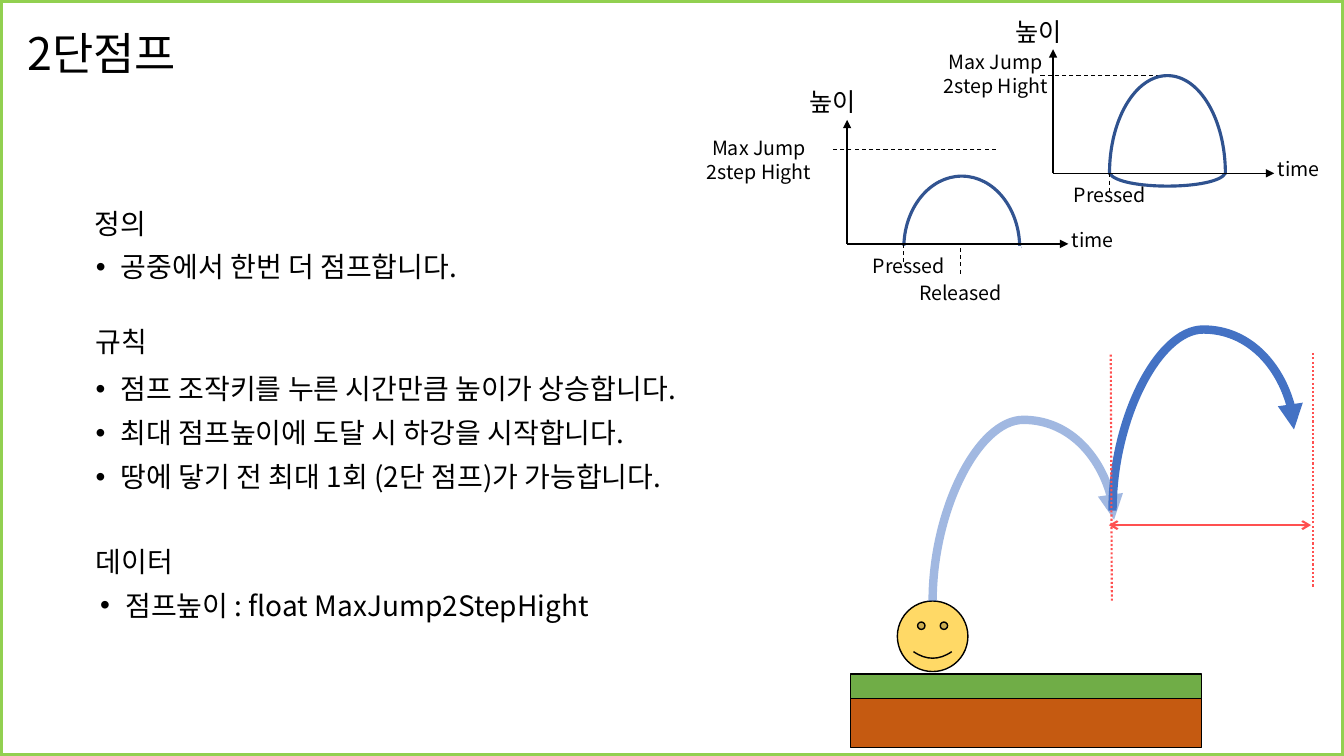
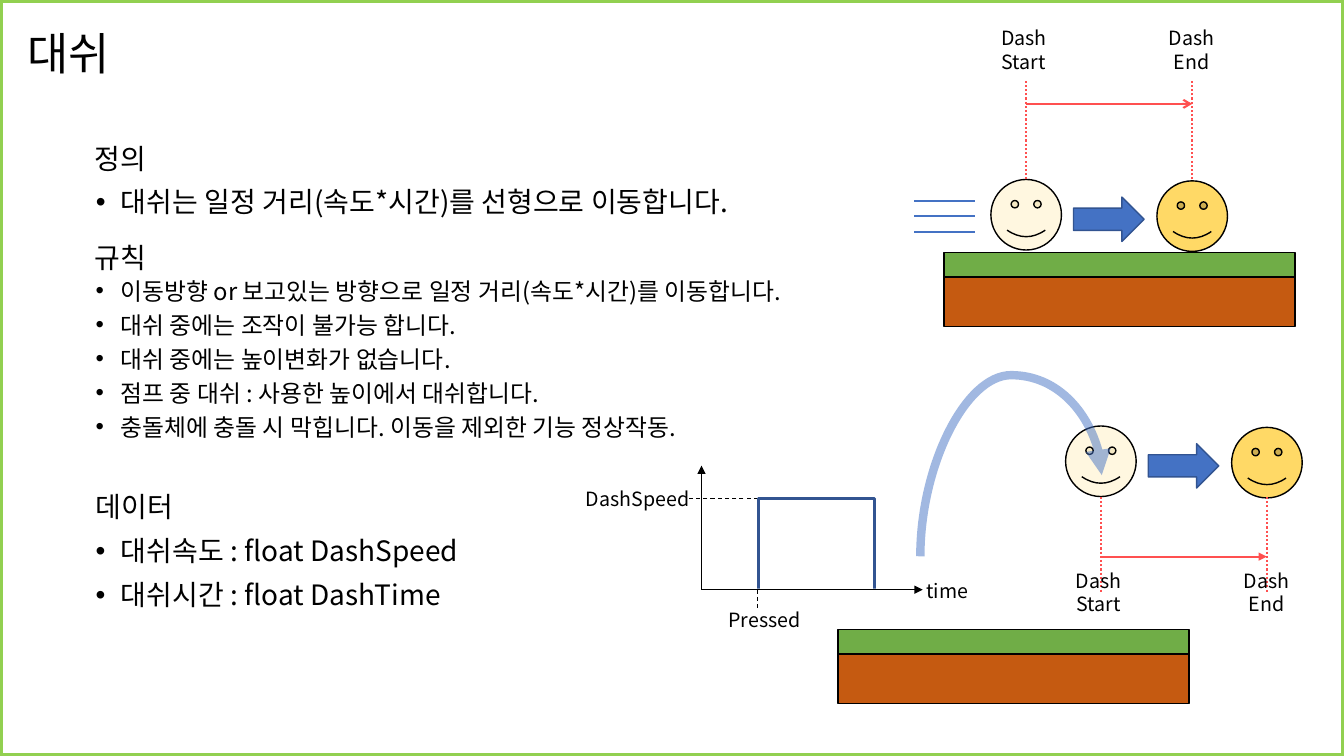
"""Build two game-design slides describing the double jump and the dash."""
from dataclasses import dataclass, replace
from typing import Any, NamedTuple, Optional

import lxml.etree
import pptx
import pptx.dml.color
import pptx.enum.dml
import pptx.enum.shapes
import pptx.enum.text
import pptx.oxml.ns
import pptx.util

Pt = pptx.util.Pt
qn = pptx.oxml.ns.qn
Shape = pptx.enum.shapes.MSO_SHAPE
Connector = pptx.enum.shapes.MSO_CONNECTOR
Dash = pptx.enum.dml.MSO_LINE
Align = pptx.enum.text.PP_ALIGN
Anchor = pptx.enum.text.MSO_ANCHOR

FONT = "Noto Sans CJK KR"
BLACK, WHITE, RED = "000000", "FFFFFF", "FF5050"
BLUE, NAVY, YELLOW = "4472C4", "325491", "FFD966"
GREEN, BROWN, LIME = "70AD47", "C55A11", "92D050"
FACE = 50.4


class Box(NamedTuple):
    """Left, top, width and height in points."""
    left: float
    top: float
    width: float
    height: float


class Label(NamedTuple):
    """Centred diagram text and its place."""
    text: str
    box: Box


@dataclass(frozen=True)
class Stroke:
    """Look of a line and its ends."""
    colour: str
    width: float
    dash: Optional[Any] = None
    opacity: int = 100
    head: str = ""
    tail: str = ""


@dataclass(frozen=True)
class Section:
    """Heading with a bulleted list below it."""
    heading: str
    heading_box: Box
    items: tuple[str, ...]
    list_box: Box
    size: float = 20
    spacing: float = 0.9


OUTLINE = Stroke(BLACK, 1)
AXIS = Stroke(BLACK, 1, tail="triangle")
GUIDE = Stroke(BLACK, 0.75, Dash.DASH)
DOTTED = Stroke(RED, 1.5, Dash.ROUND_DOT)
MEASURE = Stroke(RED, 1.5, tail="arrow")
JUMP = Stroke(BLUE, 6, tail="triangle")
FADED_JUMP = replace(JUMP, opacity=50)


def paint(colour_format: Any, colour: str, opacity: int = 100) -> None:
    """Make a fill solid with a hex colour and an opacity in percent."""
    colour_format.solid()
    colour_format.fore_color.rgb = pptx.dml.color.RGBColor.from_string(colour)
    if opacity < 100:
        element = colour_format.fore_color._xFill.find(qn("a:srgbClr"))
        lxml.etree.SubElement(element, qn("a:alpha"), val=str(opacity * 1000))


def draw_stroke(line: Any, stroke: Stroke) -> None:
    """Apply a stroke to a line format."""
    paint(line.fill, stroke.colour, stroke.opacity)
    line.width = Pt(stroke.width)
    if stroke.dash is not None:
        line.dash_style = stroke.dash
    for tag, kind in (("a:headEnd", stroke.head), ("a:tailEnd", stroke.tail)):
        if kind:
            lxml.etree.SubElement(line._get_or_add_ln(), qn(tag), type=kind)


def write(frame: Any, text: str, *, size: float, align: Any = Align.LEFT,
          spacing: float = 1.0, before: float = 0, bullet: bool = False,
          anchor: Any = Anchor.TOP) -> None:
    """Fill a text frame, one paragraph for each line of the text."""
    frame.word_wrap = True
    frame.auto_size = pptx.enum.text.MSO_AUTO_SIZE.NONE
    frame.vertical_anchor = anchor
    for index, words in enumerate(text.split("\n")):
        para = frame.add_paragraph() if index else frame.paragraphs[0]
        para.alignment = align
        para.line_spacing = spacing
        para.space_before = Pt(before)
        span = para.add_run()
        span.text = words
        span.font.size = Pt(size)
        paint(span.font.fill, BLACK)
        span.font.name = FONT
        lxml.etree.SubElement(span._r.rPr, qn("a:ea"), typeface=FONT)
        if bullet:
            properties = para._p.get_or_add_pPr()
            properties.set("marL", str(Pt(18)))
            properties.set("indent", str(Pt(-18)))
            lxml.etree.SubElement(properties, qn("a:buFont"), typeface="Arial")
            lxml.etree.SubElement(properties, qn("a:buChar"), char="•")


def place(shape: Any, box: Box) -> None:
    """Move and size a shape."""
    shape.left, shape.top, shape.width, shape.height = map(Pt, box)


def add_text(page: Any, text: str, box: Box, **style: Any) -> None:
    """Add a text box."""
    write(page.shapes.add_textbox(*map(Pt, box)).text_frame, text, **style)


def add_labels(page: Any, *labels: Label) -> None:
    """Add the centred labels of a diagram."""
    for label in labels:
        add_text(page, label.text, label.box, size=14, align=Align.CENTER)


def add_shape(page: Any, kind: Any, box: Box, fill: str = "",
              stroke: Optional[Stroke] = None, opacity: int = 100) -> None:
    """Add a preset shape; without fill or stroke that part stays clear."""
    shape = page.shapes.add_shape(kind, *map(Pt, box))
    shape.shadow.inherit = False
    if fill:
        paint(shape.fill, fill, opacity)
    else:
        shape.fill.background()
    if stroke:
        draw_stroke(shape.line, stroke)
    else:
        shape.line.fill.background()


def add_line(page: Any, x1: float, y1: float, x2: float, y2: float,
             stroke: Stroke, kind: Any = Connector.STRAIGHT) -> Any:
    """Add a connector without shadow."""
    connector = page.shapes.add_connector(kind, Pt(x1), Pt(y1), Pt(x2), Pt(y2))
    draw_stroke(connector.line, stroke)
    lxml.etree.SubElement(connector._element.spPr, qn("a:effectLst"))
    return connector


def add_jump(page: Any, left: float, bottom: float, stroke: Stroke) -> None:
    """Add a jump arc that starts at the given point and lands to its right."""
    rise, run = 58, 129.6
    x, y = left + (run - rise) / 2, bottom - (run + rise) / 2
    arc = add_line(page, x + rise, y + run, x, y, stroke, Connector.CURVE)
    properties = arc._element.spPr
    properties.find(qn("a:xfrm")).set("rot", "5400000")
    guides = properties.find(qn("a:prstGeom")).find(qn("a:avLst"))
    lxml.etree.SubElement(guides, qn("a:gd"), name="adj1", fmla="val 223100")


def add_dome(page: Any, left: float, apex: float, base: float, sag: float,
             colour: str) -> None:
    """Add the closed height curve of a jump, as three Bézier curves."""
    right, middle = left + 82.8, left + 41.4
    shoulder, low = base - (base - apex) * 0.55, base + sag
    builder = page.shapes.build_freeform(Pt(left), Pt(base))
    builder.add_line_segments([(Pt(middle), Pt(apex)), (Pt(right), Pt(base)),
                               (Pt(middle), Pt(base + sag * 0.75))], close=True)
    dome = builder.convert_to_shape()
    dome.shadow.inherit = False
    dome.fill.background()
    draw_stroke(dome.line, Stroke(colour, 2.25))
    outline = next(dome._element.iter(qn("a:path")))
    for segment in list(outline):
        outline.remove(segment)
    segments = (
        ("a:moveTo", ((left, base),)),
        ("a:cubicBezTo", ((left, shoulder), (middle - 23, apex), (middle, apex))),
        ("a:cubicBezTo", ((middle + 23, apex), (right, shoulder), (right, base))),
        ("a:cubicBezTo", ((right - 7, low), (left + 7, low), (left, base))),
        ("a:close", ()))
    for tag, points in segments:
        segment = lxml.etree.SubElement(outline, qn(tag))
        for x, y in points:
            lxml.etree.SubElement(segment, qn("a:pt"), x=str(Pt(x - left)),
                                  y=str(Pt(y - apex)))


def add_axes(page: Any, x: float, y: float, time_rise: float = 15.1) -> None:
    """Add the two axes of a chart sketch, its time label and press mark."""
    add_line(page, x, y, x + 158, y, AXIS)
    add_line(page, x, y, x, y - 88.6, AXIS)
    add_line(page, x + 40.3, y, x + 40.3, y + 13.7, GUIDE)
    add_labels(page, Label("time", Box(x + 126.9, y - time_rise, 97.2, 24.5)))


def add_height_title(page: Any, x: float, y: float) -> None:
    """Add the height title above the axes with this origin."""
    add_text(page, "높이", Box(x - 33.8, y - 115.9, 91.4, 28.8), size=18)


def add_ground(page: Any, left: float, top: float) -> None:
    """Add grass on soil."""
    add_shape(page, Shape.RECTANGLE, Box(left, top, 250.6, 17.5), GREEN, OUTLINE)
    add_shape(page, Shape.RECTANGLE, Box(left, top + 17.5, 250.6, 35.2), BROWN, OUTLINE)


def add_face(page: Any, left: float, top: float, opacity: int = 100) -> None:
    """Add the player."""
    add_shape(page, Shape.SMILEY_FACE, Box(left, top, FACE, FACE), YELLOW, OUTLINE, opacity)


def add_dash(page: Any, left: float, top: float, edge: float, far: float,
             measure: Stroke, measure_y: float, label_top: float) -> None:
    """Add a dash: faded start, arrow, end, dotted limits and labels."""
    travel = 118.6
    add_face(page, left, top, 20)
    add_face(page, left + travel, top + 1)
    add_shape(page, Shape.RIGHT_ARROW, Box(left + 59, top + 12.6, 50.4, 31.7),
              BLUE, Stroke(NAVY, 1))
    centre = left + FACE / 2
    for offset, word in ((0, "Start"), (travel, "End")):
        add_line(page, centre + offset, edge, centre + offset, far, DOTTED)
        add_labels(page, Label(f"Dash\n{word}",
                               Box(left - 9.5 + offset * 1.01, label_top, 66.2, 41)))
    add_line(page, centre, measure_y, centre + travel, measure_y, measure)


def add_page(deck: Any, title: str, sections: tuple[Section, ...]) -> Any:
    """Add a slide with its title and sections."""
    page = deck.slides.add_slide(deck.slide_layouts[1])
    place(page.shapes.title, Box(12.2, 10.8, 517.7, 58.3))
    write(page.shapes.title.text_frame, title, size=32, spacing=0.9, anchor=Anchor.MIDDLE)
    for index, section in enumerate(sections):
        add_text(page, section.heading, section.heading_box, size=20, spacing=0.9, before=10)
        style = dict(size=section.size, spacing=section.spacing, before=10, bullet=True)
        if index:
            add_text(page, "\n".join(section.items), section.list_box, **style)
        else:
            body = page.placeholders[1]
            place(body, section.list_box)
            write(body.text_frame, "\n".join(section.items), **style)
    return page


def add_frame(page: Any) -> None:
    """Add the coloured frame round the whole slide."""
    add_shape(page, Shape.RECTANGLE, Box(0, 0, 960, 540), stroke=Stroke(LIME, 4.5))


def build_double_jump(deck: Any) -> None:
    """Build the double jump slide."""
    page = add_page(deck, "2단점프", (
        Section("정의", Box(60.5, 146.4, 146, 31), ("공중에서 한번 더 점프합니다.",),
                Box(61.2, 177.5, 540, 41)),
        Section("규칙", Box(61.2, 231.1, 146, 31),
                ("점프 조작키를 누른 시간만큼 높이가 상승합니다.",
                 "최대 점프높이에 도달 시 하강을 시작합니다.",
                 "땅에 닿기 전 최대 1회 (2단 점프)가 가능합니다."),
                Box(61.2, 264.5, 540, 103)),
        Section("데이터", Box(61.2, 388.1, 146, 31), ("점프높이 : float MaxJump2StepHight",),
                Box(64.4, 419.3, 540, 103))))
    limit = "Max Jump\n2step Hight"
    add_height_title(page, 752.2, 123.8)
    add_line(page, 833.8, 54, 743.2, 54, GUIDE)
    add_dome(page, 792.5, 54, 123.8, 12.2, "2F528F")
    add_axes(page, 752.2, 123.8)
    add_height_title(page, 605.1, 174.2)
    add_line(page, 711.4, 106.6, 594, 106.6, GUIDE)
    add_dome(page, 645.6, 125.8, 177.1, 7.9, NAVY)
    add_shape(page, Shape.RECTANGLE, Box(640.1, 175.7, 89.3, 24.5), WHITE)
    add_axes(page, 605.1, 174.2)
    add_line(page, 686.2, 177.1, 686.2, 197.3, GUIDE)
    add_labels(page, Label(limit, Box(649, 32.4, 124.6, 41)),
               Label("Pressed", Box(759.6, 127.4, 66.2, 24.5)),
               Label(limit, Box(479.9, 93.6, 124.6, 58.3)),
               Label("Pressed", Box(608.8, 177.8, 80.6, 24.5)),
               Label("Released", Box(637.5, 197.3, 97.2, 24.5)))
    add_ground(page, 607.5, 481.4)
    add_face(page, 641, 429.3)
    add_jump(page, 666.2, 429.3, FADED_JUMP)
    add_jump(page, 794.7, 364.8, JUMP)
    add_line(page, 794.2, 429.1, 793.4, 252, DOTTED)
    add_line(page, 938.2, 419, 938.2, 252, DOTTED)
    add_line(page, 936.5, 375.1, 792, 375.1, replace(MEASURE, head="arrow"))
    add_frame(page)


def build_dash(deck: Any) -> None:
    """Build the dash slide."""
    page = add_page(deck, "대쉬", (
        Section("정의", Box(60.5, 100.1, 78.5, 31),
                ("대쉬는 일정 거리(속도*시간)를 선형으로 이동합니다.",), Box(61.2, 131, 540, 31)),
        Section("규칙", Box(60.5, 170.9, 78.5, 31),
                ("이동방향 or 보고있는 방향으로 일정 거리(속도*시간)를 이동합니다.",
                 "대쉬 중에는 조작이 불가능 합니다.", "대쉬 중에는 높이변화가 없습니다.",
                 "점프 중 대쉬 : 사용한 높이에서 대쉬합니다.",
                 "충돌체에 충돌 시 막힙니다. 이동을 제외한 기능 정상작동."),
                Box(61.2, 199.4, 540, 137.5), 17, 0.7),
        Section("데이터", Box(61.2, 348.9, 146, 31),
                ("대쉬속도 : float DashSpeed", "대쉬시간 : float DashTime"),
                Box(61.2, 380.2, 540, 103))))
    add_ground(page, 674.3, 180.5)
    for index in range(3):
        y = 143.3 + index * 11.2
        add_line(page, 696.4, y, 653.2, y, Stroke(BLUE, 1.5))
    add_dash(page, 707.8, 128.2, 128.2, 56.2, MEASURE, 74.2, 15.1)
    add_ground(page, 598.7, 449.8)
    add_dash(page, 761.2, 304.3, 355, 423.4, replace(MEASURE, tail="triangle"), 397.6, 402.5)
    add_jump(page, 657.4, 397.4, FADED_JUMP)
    add_line(page, 541.4, 356.4, 490.3, 356.4, GUIDE)
    add_shape(page, Shape.RECTANGLE, Box(541.8, 356.2, 82.8, 69.1), stroke=Stroke(NAVY, 2.25))
    add_shape(page, Shape.RECTANGLE, Box(538.6, 420.5, 89.3, 24.5), WHITE)
    add_axes(page, 501.1, 421.2, 11.1)
    add_labels(page, Label("DashSpeed", Box(397.9, 344.2, 115.2, 24.5)),
               Label("Pressed", Box(505.9, 430.6, 80.6, 24.5)))
    add_frame(page)


def main() -> None:
    """Build and save the deck."""
    deck = pptx.Presentation()
    deck.slide_width, deck.slide_height = Pt(960), Pt(540)
    build_double_jump(deck)
    build_dash(deck)
    deck.save("out.pptx")


main()
